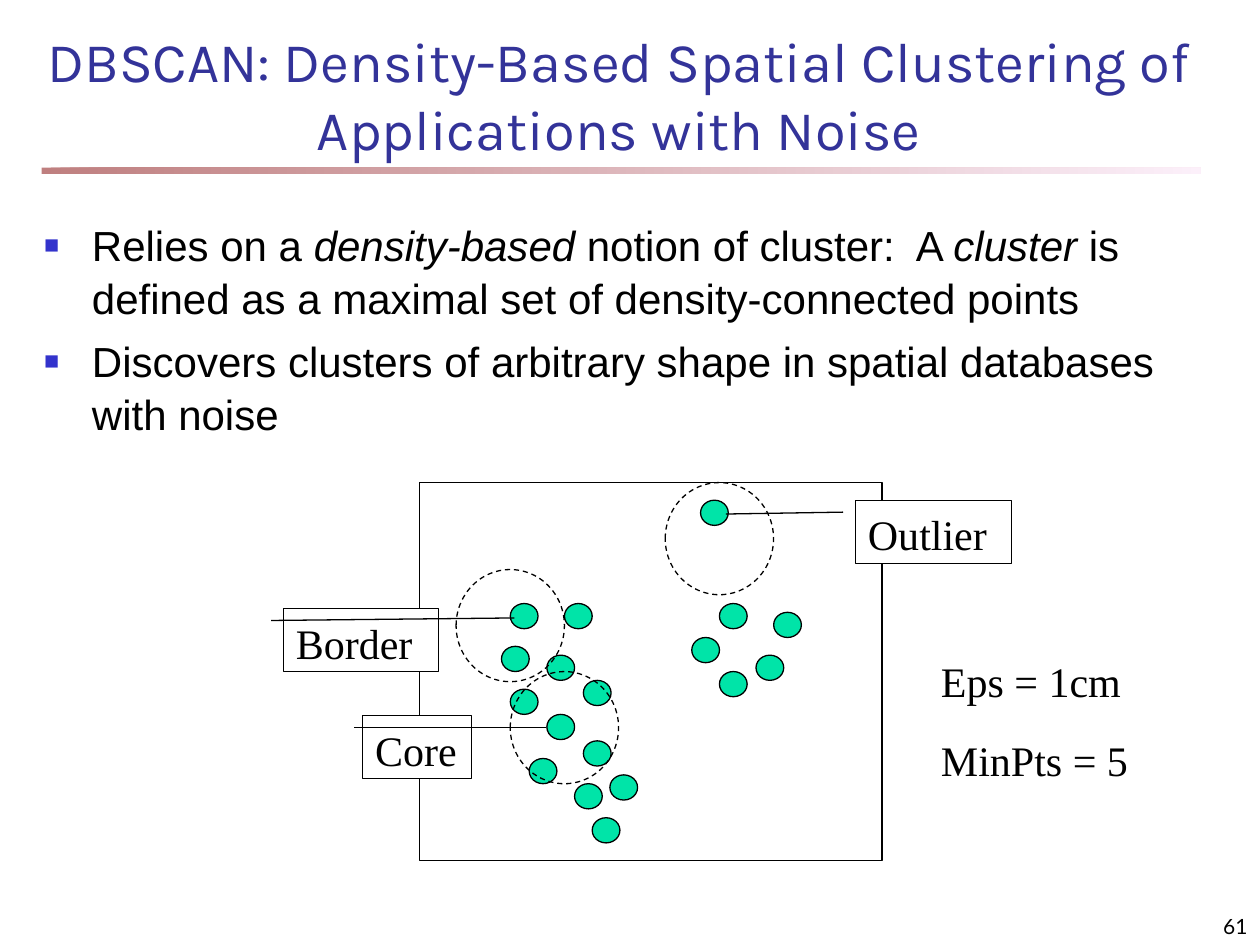
import pptx
import pptx.util
import pptx.dml.color
import pptx.enum.dml
import pptx.enum.shapes
import pptx.enum.text
import pptx.oxml
import pptx.oxml.ns
from pptx.util import Inches

COLORS = {"title": "333399", "bullet": "3333CC", "text": "000000",
          "line": "000000", "point": "00E4A8", "box": "FFFFFF",
          "bar_start": "800000", "bar_end": "FAE2F6"}
SHAPE = pptx.enum.shapes.MSO_SHAPE
ANCHOR = pptx.enum.text.MSO_ANCHOR
ALIGN = pptx.enum.text.PP_ALIGN
TITLE = {"size": pptx.util.Pt(32), "name": "Karla"}
BODY = {"size": pptx.util.Pt(24), "name": "Arial"}
LABEL = {"size": pptx.util.Pt(24), "name": "Times New Roman"}
NUMBER = {"size": pptx.util.Pt(12), "name": "Lato"}


def rgb(key):
    return pptx.dml.color.RGBColor.from_string(COLORS[key])


def xml(tag, **attrs):
    e = pptx.oxml.parse_xml(f"<a:{tag} {pptx.oxml.ns.nsdecls('a')}/>")
    for key, value in attrs.items():
        e.set(key, value)
    return e


class SlideBuilder:
    def __init__(self, prs):
        self.s = prs.slides.add_slide(prs.slide_layouts[1])

    def place(self, sp, box):
        sp.left, sp.top, sp.width, sp.height = map(Inches, box)

    def frame(self, sp, anchor=ANCHOR.TOP):
        tf = sp.text_frame
        for key, value in {"word_wrap": True, "vertical_anchor": anchor,
                           "auto_size": pptx.enum.text.MSO_AUTO_SIZE.NONE}.items():
            setattr(tf, key, value)
        return tf

    def fill_text(self, tf, paragraphs, font, color="text", align=ALIGN.LEFT,
                  spacing=1.0, before=0, bullets=False):
        """Each paragraph is a list of (text, italic) runs."""
        for i, runs in enumerate(paragraphs):
            p = tf.paragraphs[0] if i == 0 else tf.add_paragraph()
            formats = {"alignment": align, "line_spacing": spacing,
                       "space_before": pptx.util.Pt(before if i else 0)}
            for key, value in formats.items():
                setattr(p, key, value)
            if bullets:
                self.bullet(p)
            for text, italic in runs:
                r = p.add_run()
                r.text = text
                for key, value in {**font, "italic": italic}.items():
                    setattr(r.font, key, value)
                r.font.color.rgb = rgb(color)

    def bullet(self, p):
        pPr = p._p.get_or_add_pPr()
        pPr.set("marL", str(Inches(0.38)))
        pPr.set("indent", str(-Inches(0.38)))
        clr = xml("buClr")
        clr.append(xml("srgbClr", val=COLORS["bullet"]))
        for e in (clr, xml("buSzPct", val="60000"),
                  xml("buFont", typeface="Arial"), xml("buChar", char="■")):
            pPr.append(e)

    def title(self, box, text):
        sp = self.s.shapes.title
        self.place(sp, box)
        self.fill_text(self.frame(sp, ANCHOR.BOTTOM), [[(text, False)]], TITLE,
                       color="title", align=ALIGN.CENTER)

    def body(self, box, paragraphs):
        sp = self.s.placeholders[1]
        self.place(sp, box)
        self.fill_text(self.frame(sp), paragraphs, BODY, spacing=1.05,
                       before=6, bullets=True)

    def text(self, box, lines, font, anchor=ANCHOR.TOP, **style):
        sp = self.s.shapes.add_textbox(*map(Inches, box))
        self.fill_text(self.frame(sp, anchor), [[(t, False)] for t in lines],
                       font, **style)

    def shape(self, kind, box, fill=None, dashed=False):
        sp = self.s.shapes.add_shape(kind, *map(Inches, box))
        sp.shadow.inherit = False
        if fill:
            sp.fill.solid()
            sp.fill.fore_color.rgb = rgb(fill)
        else:
            sp.fill.background()
        sp.line.color.rgb = rgb("line")
        sp.line.width = pptx.util.Pt(0.75)
        if dashed:
            sp.line.dash_style = pptx.enum.dml.MSO_LINE.DASH
        return sp

    def callout(self, box, text, end):
        sp = self.shape(SHAPE.LINE_CALLOUT_1, box, "box")
        for i, value in enumerate((0.19, -0.08, *end)):
            sp.adjustments[i] = value
        self.fill_text(self.frame(sp), [[(text, False)]], LABEL, spacing=1.05)

    def gradient_bar(self, box):
        sp = self.shape(SHAPE.RECTANGLE, box)
        sp.line.fill.background()
        sp.fill.gradient()
        sp.fill.gradient_angle = 0
        for stop, key, pos in zip(sp.fill.gradient_stops,
                                  ("bar_start", "bar_end"), (0, 1)):
            stop.color.rgb = rgb(key)
            stop.position = pos
        for clr in sp._element.spPr.iter(pptx.oxml.ns.qn("a:srgbClr")):
            clr.append(xml("alpha", val="50000"))


def main():
    prs = pptx.Presentation()
    prs.slide_width, prs.slide_height = Inches(10), Inches(7.5)
    b = SlideBuilder(prs)

    # Heading and bullets
    b.gradient_bar((0.33, 1.33, 9.2, 0.05))
    b.title((0.25, 0.25, 9.33, 1.08),
            "DBSCAN: Density-Based Spatial Clustering of Applications with Noise")
    b.body((0.25, 1.67, 9.33, 5.5), [
        [("Relies on a ", False), ("density-based", True),
         (" notion of cluster:  A ", False), ("cluster", True),
         (" is defined as a maximal set of density-connected points", False)],
        [("Discovers clusters of arbitrary shape in spatial databases with noise",
          False)]])

    # Data points: left cluster, right cluster, outlier
    left = [(4.05, 4.79), (3.98, 5.13), (4.34, 5.2), (4.48, 4.79), (4.63, 5.4),
            (4.05, 5.47), (4.34, 5.67), (4.2, 6.02), (4.56, 6.22),
            (4.7, 6.49), (4.63, 5.88), (4.84, 6.15)]
    right = [(5.71, 4.79), (5.49, 5.06), (6, 5.2), (6.14, 4.86), (5.71, 5.33)]
    outlier = [(5.56, 3.97)]
    for x, y in left + right + outlier:
        b.shape(SHAPE.OVAL, (x, y, 0.22, 0.2), "point")

    # Plot frame and Eps neighbourhoods
    b.shape(SHAPE.RECTANGLE, (3.33, 3.83, 3.67, 3))
    for x, y in [(3.62, 4.52), (4.05, 5.33), (5.28, 3.83)]:
        b.shape(SHAPE.OVAL, (x, y, 0.86, 0.89), dashed=True)

    # Callouts, with line ends as fractions of height and width
    b.callout((2.88, 5.68, 0.86, 0.5), "Core", (0.19, 1.69))
    b.callout((2.25, 4.83, 1.23, 0.5), "Border", (0.15, 1.49))
    b.callout((6.79, 3.97, 1.24, 0.5), "Outlier", (0.22, -0.83))

    # Parameters and slide number
    b.text((7.37, 5.13, 1.8, 1.11), ["Eps = 1cm", "MinPts = 5"], LABEL,
           spacing=1.05, before=15)
    b.text((7.92, 7.08, 2.08, 0.42), ["61"], NUMBER, ANCHOR.BOTTOM,
           align=ALIGN.RIGHT)

    prs.save("out.pptx")


if __name__ == "__main__":
    main()
